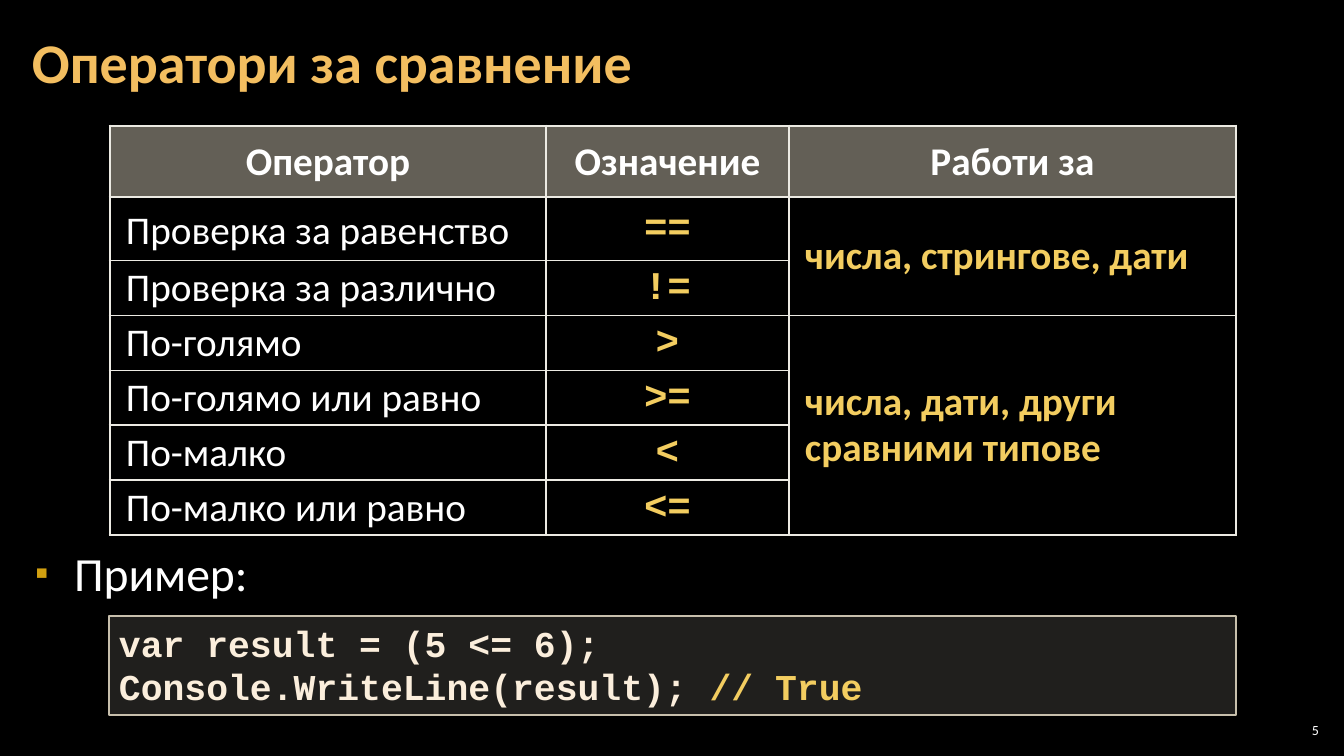
"""Builds the slide on comparison operators."""
from lxml.etree import SubElement
from pptx import Presentation
from pptx.dml.color import RGBColor
from pptx.enum.shapes import MSO_SHAPE
from pptx.enum.text import MSO_ANCHOR, MSO_AUTO_SIZE, PP_ALIGN
from pptx.oxml import parse_xml
from pptx.oxml.ns import nsdecls, qn
from pptx.util import Emu, Pt

BLACK = RGBColor(0x00, 0x00, 0x00)
WHITE = RGBColor(0xFF, 0xFF, 0xFF)
ORANGE = RGBColor(0xF3, 0xBE, 0x60)
YELLOW = RGBColor(0xF3, 0xCD, 0x60)
CREAM = RGBColor(0xFB, 0xEE, 0xDC)
SAND = RGBColor(0xC7, 0xBF, 0xAC)
PALE = RGBColor(0xD9, 0xD5, 0xC7)
BORDER = RGBColor(0xEC, 0xEA, 0xE3)
BULLET = RGBColor(0xD2, 0xA0, 0x10)
SANS, MONO = "Calibri", "Courier New"
THICK, THIN = Pt(2.25), Pt(1)

HEADINGS = ["Оператор", "Означение", "Работи за"]
OPERATORS = [
    ("Проверка за равенство", "=="),
    ("Проверка за различно", "!="),
    ("По-голямо", ">"),
    ("По-голямо или равно", ">="),
    ("По-малко", "<"),
    ("По-малко или равно", "<="),
]
USES = [(1, 2, "числа, стрингове, дати"), (3, 6, "числа, дати, други сравними типове")]


def px(length):
    """Turn pixels into EMU."""
    return Emu(round(length * 914400 / 100.8))


class OperatorSlide:
    """Holds the style and the current slide."""

    def __init__(self, deck):
        """Add a black slide to the deck."""
        self.slide = deck.slides.add_slide(deck.slide_layouts[1])
        self.slide.background.fill.solid()
        self.slide.background.fill.fore_color.rgb = BLACK

    def style(self, run, size, color, bold=False, font=SANS):
        """Format one run."""
        run.font.size, run.font.bold, run.font.name = Pt(size), bold, font
        run.font.color.rgb = color

    def place(self, shape, left, top, width, height):
        """Move and size a shape."""
        shape.left, shape.top = px(left), px(top)
        shape.width, shape.height = px(width), px(height)

    def tint(self, fill, properties, color, percent):
        """Give a shape or cell a partly transparent fill."""
        fill.solid()
        fill.fore_color.rgb = color
        shade = properties.find(qn("a:solidFill") + "/" + qn("a:srgbClr"))
        SubElement(shade, qn("a:alpha"), val=str(percent * 1000))

    def title(self, text, *box):
        """Fill the title placeholder."""
        heading = self.slide.shapes.title
        self.place(heading, *box)
        frame = heading.text_frame
        frame.text = text
        frame.auto_size, frame.vertical_anchor = MSO_AUTO_SIZE.NONE, MSO_ANCHOR.MIDDLE
        frame.margin_left = frame.margin_right = px(12)
        paragraph = frame.paragraphs[0]
        paragraph.alignment, paragraph.line_spacing = PP_ALIGN.LEFT, 0.9
        self.style(paragraph.runs[0], 40, ORANGE, True)

    def bullet(self, text, *box):
        """Fill the body placeholder with one bullet."""
        body = self.slide.placeholders[1]
        self.place(body, *box)
        body.text_frame.text = text
        body.text_frame.auto_size = MSO_AUTO_SIZE.NONE
        body.text_frame.vertical_anchor = MSO_ANCHOR.TOP
        paragraph = body.text_frame.paragraphs[0]
        paragraph.line_spacing = Pt(38)
        paragraph.space_before = paragraph.space_after = Pt(6)
        self.style(paragraph.runs[0], 34, WHITE)
        properties = paragraph._p.get_or_add_pPr()
        properties.set("marL", str(px(39)))
        properties.set("indent", str(-px(39)))
        SubElement(SubElement(properties, qn("a:buClr")), qn("a:srgbClr"), val=str(BULLET))
        SubElement(properties, qn("a:buSzPct"), val="80000")
        SubElement(properties, qn("a:buChar"), char="▪")

    def code(self, lines, *box):
        """Draw a code box; each line is a list of text and colour pairs."""
        panel = self.slide.shapes.add_shape(MSO_SHAPE.RECTANGLE, *map(px, box))
        panel.shadow.inherit = False
        self.tint(panel.fill, panel._element.spPr, PALE, 15)
        panel.line.color.rgb, panel.line.width = SAND, Pt(1)
        frame = panel.text_frame
        frame.vertical_anchor = MSO_ANCHOR.TOP
        frame.text = "\n".join("" for _ in lines)
        for paragraph, parts in zip(frame.paragraphs, lines):
            paragraph.alignment = PP_ALIGN.LEFT
            for text, color in parts:
                run = paragraph.add_run()
                run.text = text
                self.style(run, 26, color, True, MONO)

    def number(self, text, *box):
        """Write the slide number."""
        frame = self.slide.shapes.add_textbox(*map(px, box)).text_frame
        frame.word_wrap, frame.vertical_anchor = True, MSO_ANCHOR.MIDDLE
        frame.margin_left = frame.margin_right = px(4)
        frame.margin_top = frame.margin_bottom = px(4)
        frame.text = text
        frame.paragraphs[0].alignment = PP_ALIGN.RIGHT
        self.style(frame.paragraphs[0].runs[0], 10, WHITE)

    def cell(self, cell, text, color, bold, font=SANS, align=PP_ALIGN.LEFT):
        """Write one table cell."""
        cell.text = text
        cell.vertical_anchor = MSO_ANCHOR.MIDDLE
        cell.margin_left = cell.margin_right = px(16)
        cell.margin_top = cell.margin_bottom = px(5)
        cell.fill.background()
        paragraph = cell.text_frame.paragraphs[0]
        paragraph.alignment, paragraph.line_spacing = align, 0.95
        self.style(paragraph.runs[0], 28, color, bold, font)

    def borders(self, cell, **widths):
        """Draw the borders of a cell, given by side in schema order."""
        properties = cell._tc.get_or_add_tcPr()
        for position, (side, width) in enumerate(widths.items()):
            properties.insert(position, parse_xml(
                f'<a:ln{side} {nsdecls("a")} w="{width}"><a:solidFill>'
                f'<a:srgbClr val="{BORDER}"/></a:solidFill></a:ln{side}>'))

    def operators(self, left, top, columns, rows):
        """Draw the table of operators."""
        box = map(px, (left, top, sum(columns), sum(rows)))
        table = self.slide.shapes.add_table(len(rows), len(columns), *box).table
        table.first_row = table.horz_banding = False
        for column, width in zip(table.columns, columns):
            column.width = px(width)
        for row, height in zip(table.rows, rows):
            row.height = px(height)
        for index, heading in enumerate(HEADINGS):
            cell = table.cell(0, index)
            self.cell(cell, heading, WHITE, True, align=PP_ALIGN.CENTER)
            self.tint(cell.fill, cell._tc.get_or_add_tcPr(), SAND, 50)
        for index, (meaning, sign) in enumerate(OPERATORS, 1):
            self.cell(table.cell(index, 0), meaning, WHITE, False)
            self.cell(table.cell(index, 1), sign, YELLOW, True, MONO, PP_ALIGN.CENTER)
        table.cell(1, 0).text_frame.paragraphs[0].line_spacing = Pt(38)
        for first, last, use in USES:
            table.cell(first, 2).merge(table.cell(last, 2))
            self.cell(table.cell(first, 2), use, YELLOW, True)
        for row in range(len(rows)):
            for column in range(len(columns)):
                cell = table.cell(row, column)
                if not cell.is_spanned:
                    self.borders(
                        cell,
                        L=THIN if column == 1 else THICK,
                        R=THIN if column == 0 else THICK,
                        T=THICK if row < 2 else THIN,
                        B=THICK if row == 0 else THIN)


deck = Presentation()
deck.slide_width, deck.slide_height = px(1344), px(756)
page = OperatorSlide(deck)
page.number("5", 1276, 719, 47, 21)
page.operators(110, 126, [436, 243, 447], [71, 63] + [55] * 5)
page.title("Оператори за сравнение", 20, 4, 1055, 122)
page.code([[("var result = (5 <= 6);", CREAM)],
           [("Console.WriteLine(result); ", CREAM), ("// True", YELLOW)]],
          109, 616, 1127, 99)
page.bullet("Пример:", 25, 543, 958, 76)
deck.save("out.pptx")
